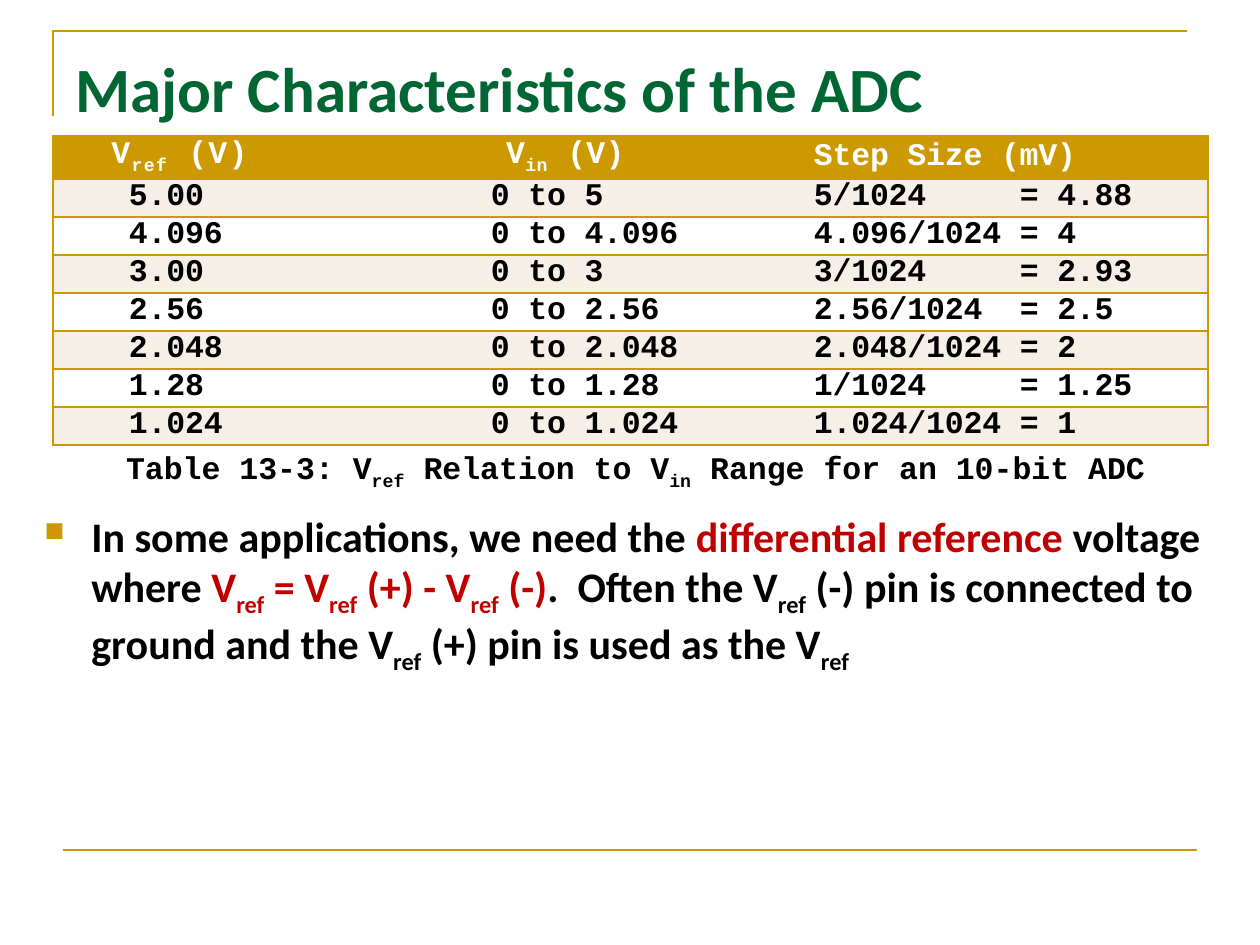
from lxml import etree
from pptx import Presentation
from pptx.dml.color import RGBColor
from pptx.enum.shapes import MSO_CONNECTOR, MSO_SHAPE
from pptx.enum.text import MSO_ANCHOR, PP_ALIGN
from pptx.oxml.ns import qn
from pptx.util import Emu, Pt

PX = 914400 // 126
LEFT, CENTER = PP_ALIGN.LEFT, PP_ALIGN.CENTER
TOP, MIDDLE = MSO_ANCHOR.TOP, MSO_ANCHOR.MIDDLE
GOLD = RGBColor(0xCC, 0x99, 0x00)
GREEN = RGBColor(0x00, 0x66, 0x33)
RED = RGBColor(0xC0, 0x00, 0x00)
CREAM = RGBColor(0xF6, 0xEF, 0xE7)
WHITE = RGBColor(0xFF, 0xFF, 0xFF)
BLACK = RGBColor(0x00, 0x00, 0x00)
SANS, MONO = "Calibri", "Courier New"

COLUMN_WIDTHS = [253, 460, 442]
HEADER_HEIGHT, ROW_HEIGHT = 43, 38
HEADER_INSETS = [4, 63, 48]
VALUE_INSETS = [76, 185, 48]
HEADERS = ["V|ref| (V)", "V|in| (V)", "Step Size (mV)"]
HEADER_ALIGNS = [CENTER, CENTER, LEFT]
HEADER_TRACKING = [70, 20, -10]
EQUALS_TAB = 206
STEP_SIZES = [
    ("5.00", "0 to 5", "5/1024\t= 4.88"),
    ("4.096", "0 to 4.096", "4.096/1024\t= 4"),
    ("3.00", "0 to 3", "3/1024\t= 2.93"),
    ("2.56", "0 to 2.56", "2.56/1024\t= 2.5"),
    ("2.048", "0 to 2.048", "2.048/1024\t= 2"),
    ("1.28", "0 to 1.28", "1/1024\t= 1.25"),
    ("1.024", "0 to 1.024", "1.024/1024\t= 1"),
]
EXPLANATION = [
    ("In some applications, we need the ", BLACK),
    ("differential reference", RED),
    (" voltage where ", BLACK),
    ("V|ref| = V|ref| (+) - V|ref| (-)", RED),
    (".  Often the V|ref| (-) pin is connected to ground and the V|ref| (+)"
     " pin is used as the V|ref", BLACK),
]


def px(length):
    return Emu(length * PX)


def add_xml(parent, tag, **attributes):
    return etree.SubElement(parent, qn(tag), attributes)


def write(frame, pieces, *, size, font, color=BLACK, align=LEFT, tracking=0):
    """Fill the first paragraph; text between bars becomes a subscript."""
    paragraph = frame.paragraphs[0]
    paragraph.alignment = align
    if isinstance(pieces, str):
        pieces = [(pieces, color)]
    for text, piece_color in pieces:
        for index, part in enumerate(text.split("|")):
            if not part:
                continue
            run = paragraph.add_run()
            run.text = part
            run.font.size, run.font.name, run.font.bold = Pt(size), font, True
            run.font.color.rgb = piece_color
            properties = run.font._element
            if tracking:
                properties.set("spc", str(tracking))
            if index % 2:
                properties.set("baseline", "-25000")
    return paragraph


def add_text_box(slide, box, pieces, anchor=TOP, **text_format):
    frame = slide.shapes.add_textbox(*map(px, box)).text_frame
    frame.word_wrap = True
    frame.vertical_anchor = anchor
    return write(frame, pieces, **text_format)


def add_frame_lines(slide, left, top, width, height):
    """Corner line above the title and the rule at the foot."""
    builder = slide.shapes.build_freeform(left, top + 85, scale=PX)
    builder.add_line_segments([(left, top), (left + width, top)], close=False)
    corner = builder.convert_to_shape()
    corner.shadow.inherit = False
    corner.fill.background()
    foot = slide.shapes.add_connector(
        MSO_CONNECTOR.STRAIGHT, px(left + 10), px(top + height),
        px(left + 10 + width), px(top + height))
    add_xml(foot._element.spPr, "a:effectLst")
    for outline in (corner.line, foot.line):
        outline.color.rgb = GOLD
        outline.width = Pt(1.5)


def set_borders(cell, visible):
    """Draw gold lines on the visible sides (letters of LRTB), none elsewhere."""
    properties = cell._tc.get_or_add_tcPr()
    for index, side in enumerate("LRTB"):
        line = add_xml(properties, f"a:ln{side}", w="12700")
        if side in visible:
            add_xml(add_xml(line, "a:solidFill"), "a:srgbClr", val=str(GOLD))
        else:
            add_xml(line, "a:noFill")
        properties.insert(index, line)


def add_step_size_table(slide, left, top):
    row_count, column_count = len(STEP_SIZES) + 1, len(COLUMN_WIDTHS)
    height = HEADER_HEIGHT + ROW_HEIGHT * len(STEP_SIZES)
    table = slide.shapes.add_table(
        row_count, column_count, px(left), px(top),
        px(sum(COLUMN_WIDTHS)), px(height)).table
    table.first_row = table.horz_banding = False
    for column, width in zip(table.columns, COLUMN_WIDTHS):
        column.width = px(width)
    for r, values in enumerate([HEADERS, *STEP_SIZES]):
        is_header = r == 0
        table.rows[r].height = px(HEADER_HEIGHT if is_header else ROW_HEIGHT)
        insets = HEADER_INSETS if is_header else VALUE_INSETS
        for c, value in enumerate(values):
            cell = table.cell(r, c)
            cell.margin_left, cell.margin_right = px(insets[c]), px(4)
            cell.margin_top = cell.margin_bottom = 0
            cell.vertical_anchor = MIDDLE if is_header else TOP
            cell.fill.solid()
            cell.fill.fore_color.rgb = (
                GOLD if is_header else CREAM if r % 2 else WHITE)
            set_borders(cell, "TB" + {0: "L", column_count - 1: "R"}.get(c, ""))
            paragraph = write(
                cell.text_frame, value, size=18, font=MONO,
                color=WHITE if is_header else BLACK,
                align=HEADER_ALIGNS[c] if is_header else LEFT,
                tracking=HEADER_TRACKING[c] if is_header else -10)
            if "\t" in value:
                tabs = add_xml(paragraph._p.get_or_add_pPr(), "a:tabLst")
                add_xml(tabs, "a:tab", pos=str(px(EQUALS_TAB)), algn="l")


def add_caption(slide, box):
    caption = slide.shapes.add_shape(MSO_SHAPE.RECTANGLE, *map(px, box))
    caption.shadow.inherit = False
    caption.fill.solid()
    caption.fill.fore_color.rgb = WHITE
    caption.line.fill.background()
    caption.text_frame.word_wrap = True
    caption.text_frame.vertical_anchor = TOP
    write(caption.text_frame,
          "Table 13-3: V|ref| Relation to V|in| Range for an 10-bit ADC",
          size=18, font=MONO, align=CENTER)


def add_explanation(slide, box):
    paragraph = add_text_box(slide, box, EXPLANATION, size=24, font=SANS)
    properties = paragraph._p.get_or_add_pPr()
    properties.set("marL", str(px(47)))
    properties.set("indent", str(-px(47)))
    add_xml(add_xml(properties, "a:buClr"), "a:srgbClr", val=str(GOLD))
    add_xml(properties, "a:buSzPct", val="65000")
    add_xml(properties, "a:buChar", char="■")


def main():
    presentation = Presentation()
    presentation.slide_width, presentation.slide_height = px(1260), px(945)
    slide = presentation.slides.add_slide(presentation.slide_layouts[6])
    add_frame_lines(slide, 53, 31, 1134, 819)
    add_text_box(slide, (63, 38, 1134, 98), "Major Characteristics of the ADC",
                 anchor=MIDDLE, size=36, font=SANS, color=GREEN)
    add_explanation(slide, (32, 504, 1187, 346))
    add_caption(slide, (53, 442, 1165, 50))
    add_step_size_table(slide, 53, 136)
    presentation.save("out.pptx")


if __name__ == "__main__":
    main()
